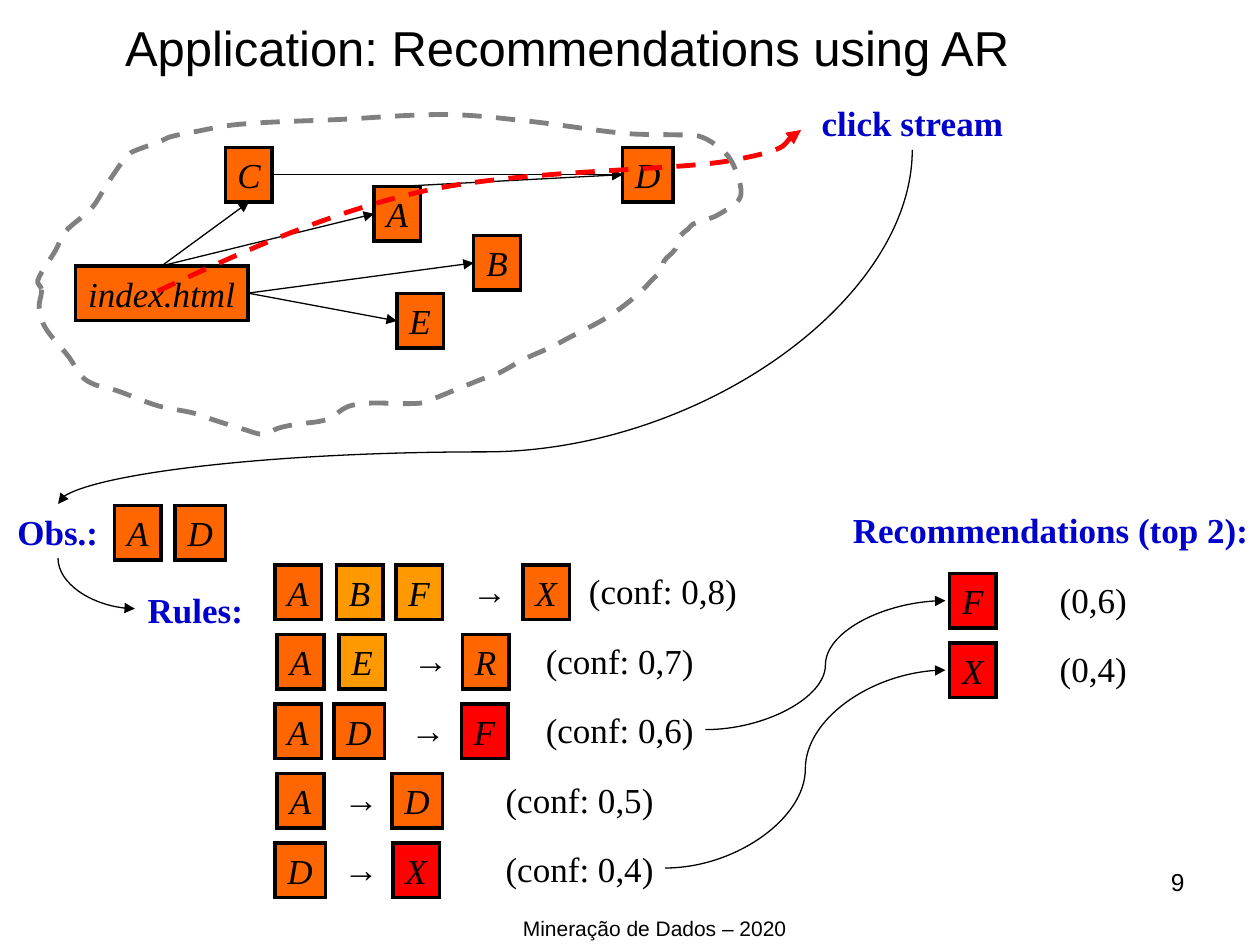
from dataclasses import dataclass

from lxml import etree
from pptx import Presentation
from pptx.dml.color import RGBColor
from pptx.enum import dml, shapes, text
from pptx.oxml.ns import qn
from pptx.util import Cm, Pt


@dataclass(frozen=True)
class Theme:
    black: str = "000000"
    blue: str = "0000CC"
    orange: str = "FF6600"
    amber: str = "FF9900"
    red: str = "FF0000"
    grey: str = "808080"
    sans: str = "Arial"
    serif: str = "Times New Roman"
    title: int = 28
    body: int = 20
    number: int = 14
    foot: int = 12
    thin: float = 0.75
    frame: float = 2
    thick: float = 2.75


T = Theme()
HIGH = 1.1    # height of a page box or a line of text
ROW = 1.4     # distance between rows
SEEN = "AD"   # pages observed in the click stream
WIDE = {"D": 1.02, "index.html": 3.48}
TOP, LEFT, BOTTOM, RIGHT = range(4)

RULES = [  # premise, conclusion, confidence, left of each part
    ("ABF", "X", "0,8", (0, 1.24, 2.44, 3.73, 5, 6.07)),
    ("AE", "R", "0,7", (0.05, 1.29, 2.54, 3.78, 5.2)),
    ("AD", "F", "0,6", (0, 1.19, 2.49, 3.76, 5.2)),
    ("A", "D", "0,5", (0.05, 1.14, 2.36, 4.39)),
    ("D", "X", "0,4", (0, 1.14, 2.38, 4.39)),
]
PAGES = {
    "index.html": (1.52, 3.36), "A": (7.54, 1.76), "B": (9.55, 2.75),
    "C": (4.55, 0.97), "D": (12.55, 0.97), "E": (8, 3.92),
}
LINKS = [
    ("index.html", TOP, "C", BOTTOM), ("index.html", TOP, "A", LEFT),
    ("index.html", RIGHT, "B", LEFT), ("index.html", RIGHT, "E", LEFT),
    ("C", RIGHT, "D", LEFT), ("A", TOP, "D", LEFT),
]
START = (3.18, 3.87)
CLICKS = [  # two handles and the end of each curve
    ((4.88, 3.08), (6.6, 2.29), (8.51, 1.86)),
    ((10.44, 1.43), (13.39, 1.45), (14.66, 1.25)),
    ((15.95, 1.02), (15.9, 0.72), (16.15, 0.62)),
]
CLOUD = [
    (0.84, 3.84), (0.79, 4.2), (0.91, 4.6), (1.4, 5.21), (1.65, 5.59),
    (1.9, 5.75), (2.34, 5.87), (3.18, 6.18), (3.91, 6.33), (4.29, 6.46),
    (4.93, 6.66), (5.33, 6.76), (5.59, 6.64), (5.94, 6.56), (6.58, 6.46),
    (7.01, 6.2), (7.42, 6.13), (8.46, 6.13), (8.76, 6.03), (9.7, 5.65),
    (10.06, 5.52), (10.57, 5.24), (11.13, 4.99), (11.43, 4.83),
    (12.27, 4.38), (12.88, 3.92), (13.13, 3.66), (13.34, 3.44),
    (13.39, 3.26), (13.61, 3.03), (13.72, 2.75), (13.87, 2.62),
    (13.97, 2.52), (14.4, 2.37), (14.63, 2.24), (14.81, 2.14),
    (14.94, 1.91), (14.86, 1.51), (14.68, 1.15), (14.4, 0.9),
    (14.07, 0.74), (13.61, 0.72), (12.6, 0.69), (10.62, 0.44),
    (8.99, 0.31), (6.83, 0.41), (4.8, 0.51), (3.76, 0.69), (3.4, 0.77),
    (3.2, 0.87), (2.82, 1), (2.59, 1.12), (2.18, 1.68), (1.93, 2.09),
    (1.78, 2.27), (1.32, 2.67), (1.12, 3.05), (0.76, 3.66),
]


def write(shape, words, size=T.body, font=T.serif, tint=T.black,
          bold=False, slant=False, align=text.PP_ALIGN.CENTER):
    shape.text_frame.text = words
    para = shape.text_frame.paragraphs[0]
    para.alignment = align
    face = para.runs[0].font
    face.size, face.name, face.bold, face.italic = Pt(size), font, bold, slant
    face.color.rgb = RGBColor.from_string(tint)


def label(slide, x, y, wide, words, high=HIGH, **style):
    box = slide.shapes.add_textbox(Cm(x), Cm(y), Cm(wide), Cm(high))
    box.text_frame.word_wrap = False
    write(box, words, **style)


def head(slide, x, y, wide, words):
    label(slide, x, y, wide, words, tint=T.blue, bold=True)


def page(slide, x, y, name, fill=T.orange):
    box = slide.shapes.add_shape(shapes.MSO_SHAPE.RECTANGLE, Cm(x), Cm(y),
                                 Cm(WIDE.get(name, 0.94)), Cm(HIGH))
    box.shadow.inherit = False
    box.fill.solid()
    box.fill.fore_color.rgb = RGBColor.from_string(fill)
    stroke(box, T.black, T.frame)
    etree.SubElement(box.line._get_or_add_ln(), qn("a:miter"), lim="800000")
    box.text_frame.word_wrap = False
    box.text_frame.vertical_anchor = text.MSO_ANCHOR.MIDDLE
    write(box, name, slant=True)
    return box


def stroke(shape, tint=T.black, width=T.thin, dash=False, arrow=False):
    line = shape.line
    line.color.rgb = RGBColor.from_string(tint)
    line.width = Pt(width)
    if dash:
        line.dash_style = dml.MSO_LINE.DASH
    if arrow:
        etree.SubElement(line._get_or_add_ln(), qn("a:tailEnd"), type="triangle")


def link(slide, start, end, kind=shapes.MSO_CONNECTOR.CURVE):
    line = slide.shapes.add_connector(kind, *map(Cm, start + end))
    stroke(line, arrow=True)
    etree.SubElement(line._element.spPr, qn("a:effectLst"))
    return line


def drop(slide, start, end, form, bend=None):
    """Curved arrow that leaves its start downwards."""
    (x1, y1), (x2, y2) = start, end
    midx, midy = (x1 + x2) / 2, (y1 + y2) / 2
    side = 1 if x2 < x1 else -1
    dx, dy = side * (y2 - y1) / 2, abs(x2 - x1) / 2
    line = link(slide, (midx - dx, midy - dy), (midx + dx, midy + dy))
    prop = line._element.spPr
    prop.find(qn("a:xfrm")).set("rot", str((90 if side > 0 else 270) * 60000))
    geom = prop.find(qn("a:prstGeom"))
    geom.set("prst", form)
    if bend:
        etree.SubElement(geom.find(qn("a:avLst")), qn("a:gd"),
                         name="adj1", fmla=f"val {bend}")


def smooth(knots):
    """Handles and ends of a closed cubic spline through the knots."""
    dots = [complex(*k) for k in knots]
    ring = [dots[-1], *dots, *dots[:2]]
    curves = []
    for a, b, c, d in zip(ring, ring[1:], ring[2:], ring[3:]):
        span = abs(c - b)
        out = (c - a) / (abs(b - a) + span) * span / 3
        into = (d - b) / (abs(d - c) + span) * span / 3
        curves.append([(p.real, p.imag) for p in (b + out, c - into, c)])
    return curves


def trail(slide, x, y, start, curves, tint, closed=False):
    """Dashed curve; an open one ends in an arrowhead."""
    def spot(dot):
        return Cm(x + dot[0]), Cm(y + dot[1])

    maker = slide.shapes.build_freeform(*spot(start))
    maker.add_line_segments([spot(c[-1]) for c in curves], close=closed)
    shape = maker.convert_to_shape()
    lines = list(shape._element.iter(qn("a:lnTo")))
    for old, curve in zip(lines, curves):
        bow = etree.Element(qn("a:cubicBezTo"))
        for px, py in map(spot, curve):
            etree.SubElement(bow, qn("a:pt"), x=str(px - shape.left),
                             y=str(py - shape.top))
        old.getparent().replace(old, bow)
    shape.shadow.inherit = False
    shape.fill.background()
    stroke(shape, tint, T.thick, dash=True, arrow=not closed)


def site(slide, x, y):
    boxes = {n: page(slide, x + a, y + b, n) for n, (a, b) in PAGES.items()}
    for src, out, dest, into in LINKS:
        line = link(slide, (x, y), (x, y), shapes.MSO_CONNECTOR.STRAIGHT)
        line.begin_connect(boxes[src], out)
        line.end_connect(boxes[dest], into)
    trail(slide, x, y, START, CLICKS, T.red)
    trail(slide, x, y, CLOUD[0], smooth(CLOUD), T.grey, closed=True)
    head(slide, x + 16.31, y - 0.07, 4.17, "click stream")


def seen(slide, x, y):
    head(slide, x, y, 2.13, "Obs.:")
    for i, name in enumerate(SEEN):
        page(slide, x + 2.21 + 1.22 * i, y + 0.03, name)
    head(slide, x + 2.62, y + 1.57, 2.44, "Rules:")
    drop(slide, (x + 1.07, y + 1.09), (x + 2.62, y + 2.11), "curvedConnector2")


def rules(slide, x, y):
    for i, (given, then, conf, lefts) in enumerate(RULES):
        top = y + ROW * i
        *firsts, mid, end, last = [x + left for left in lefts]
        for name, left in zip(given, firsts):
            page(slide, left, top, name, T.orange if name in SEEN else T.amber)
        label(slide, mid, top - 0.04, 0.91, "→", font=T.sans)
        fresh = set(given) <= set(SEEN) and then not in SEEN
        page(slide, end, top, then, T.red if fresh else T.orange)
        label(slide, last, top - 0.03, 3.51, f"(conf: {conf})")


def advice(slide, x, y):
    head(slide, x, y, 8.48, "Recommendations (top 2):")
    picks = [("F", "0,6", (14.22, 14.71)), ("X", "0,4", (13.41, 17.5))]
    for i, (name, conf, start) in enumerate(picks):
        top = y + 1.43 + ROW * i
        page(slide, x + 2.2, top, name, T.red)
        label(slide, x + 3.95, top - 0.03, 2.3, f"({conf})")
        link(slide, start, (x + 2.12, top + HIGH / 2))


def frame(slide):
    title = slide.shapes.title
    title.left, title.top, title.width, title.height = map(Cm, (0, 0, 22.86, 1.88))
    title.text_frame.vertical_anchor = text.MSO_ANCHOR.MIDDLE
    write(title, "Application: Recommendations using AR", T.title, T.sans)
    label(slide, 18.21, 17.35, 5.92, "9", 1.32, size=T.number, font=T.sans,
          align=text.PP_ALIGN.RIGHT)
    label(slide, 6.1, 18.34, 14.2, "Mineração de Dados – 2020", 0.58,
          size=T.foot, font=T.sans)


def main():
    deck = Presentation()
    deck.slide_width, deck.slide_height = Cm(25.4), Cm(19.05)
    slide = deck.slides.add_slide(deck.slide_layouts[5])
    frame(slide)
    site(slide, 0, 2)
    seen(slide, 0.1, 10.16)
    rules(slide, 5.54, 11.39)
    advice(slide, 16.94, 10.13)
    drop(slide, (18.39, 3.02), (1.17, 10.16), "curvedConnector3", 85300)
    deck.save("out.pptx")


if __name__ == "__main__":
    main()
